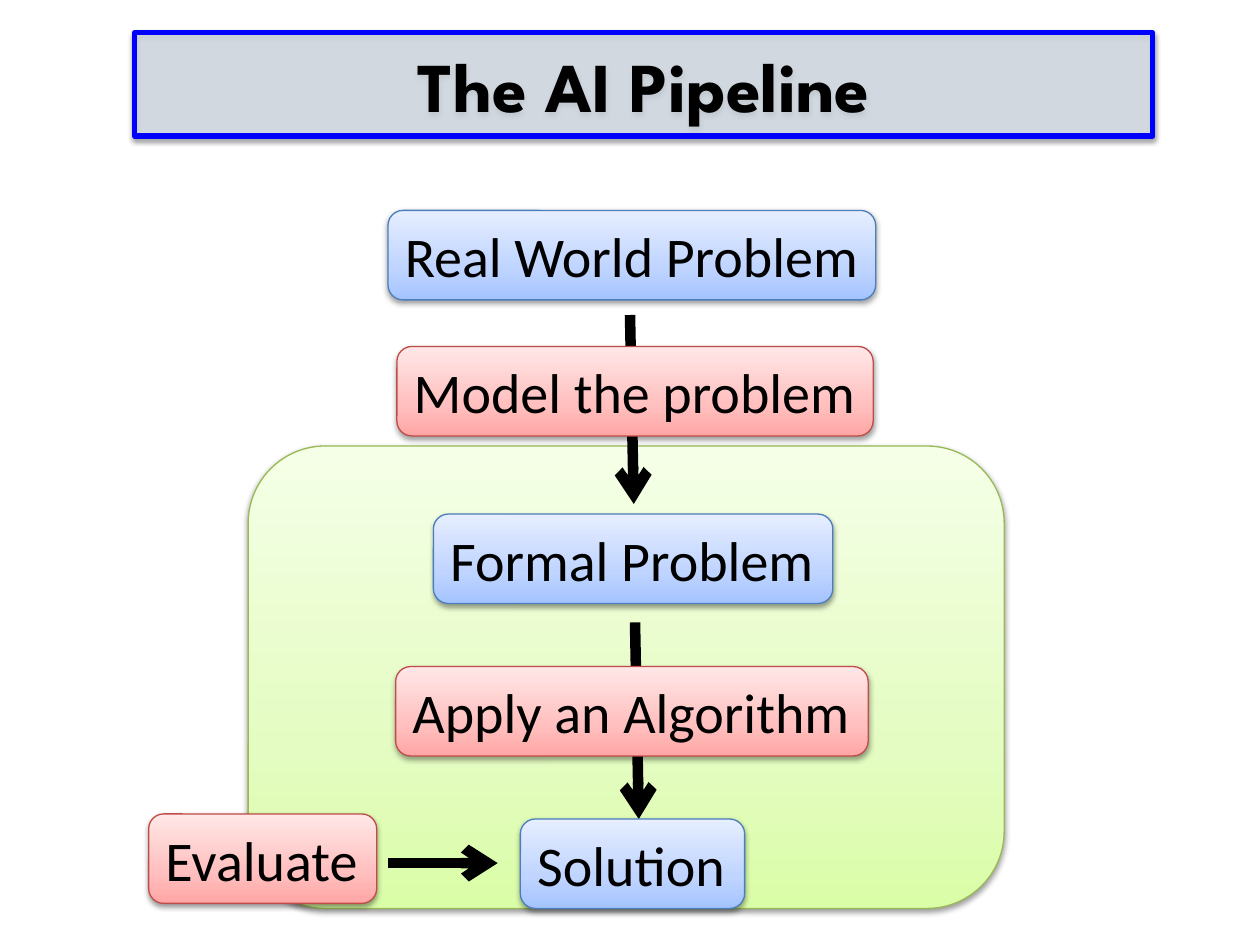
"""Builds the slide "The AI Pipeline": a flow chart from real problem to solution."""
from lxml import etree
from pptx import Presentation
from pptx.dml.color import RGBColor
from pptx.enum import shapes, text
from pptx.oxml import ns, parse_xml
from pptx.util import Inches, Pt

COLORS = {"black": "000000", "border": "0000FF", "title": "DCE6F2"}
PALETTES = {
    "green": {"line": "98B955", "stops": ("DAFDA7", "E4FCC2", "F5FFE7")},
    "blue": {"line": "4B7EBC", "stops": ("A4C4FF", "BFD4FF", "E6EEFF")},
    "red": {"line": "BF4C48", "stops": ("FFA6A5", "FFC0BF", "FFE7E7")},
}
STOP_POSITIONS = (0, 35000, 100000)
BOX_HEIGHT = 0.71


def add_shadow(shape):
    shape.shadow.inherit = False
    effects = shape._element.spPr.find(ns.qn("a:effectLst"))
    effects.append(parse_xml(
        f'<a:outerShdw {ns.nsdecls("a")} blurRad="40000" dist="20000" dir="5400000" '
        f'rotWithShape="0"><a:srgbClr val="{COLORS["black"]}"><a:alpha val="38000"/>'
        '</a:srgbClr></a:outerShdw>'))


def add_rounded_box(slide, palette, left, top, width, height):
    box = slide.shapes.add_shape(
        shapes.MSO_SHAPE.ROUNDED_RECTANGLE,
        Inches(left), Inches(top), Inches(width), Inches(height))
    box.line.color.rgb = RGBColor.from_string(palette["line"])
    box.line.width = Pt(0.75)
    stops = "".join(
        f'<a:gs pos="{position}"><a:srgbClr val="{color}"/></a:gs>'
        for position, color in zip(STOP_POSITIONS, palette["stops"]))
    gradient = parse_xml(
        f'<a:gradFill {ns.nsdecls("a")} rotWithShape="1"><a:gsLst>{stops}</a:gsLst>'
        '<a:lin ang="16200000" scaled="0"/></a:gradFill>')
    box.line._ln.addprevious(gradient)
    add_shadow(box)
    return box


deck = Presentation()
deck.slide_width, deck.slide_height = Inches(10), Inches(7.5)
slide = deck.slides.add_slide(deck.slide_layouts[5])

title = slide.shapes.title
title.left, title.top = Inches(1.07), Inches(0.26)
title.width, title.height = Inches(8.08), Inches(0.82)
title.fill.solid()
title.fill.fore_color.rgb = RGBColor.from_string(COLORS["title"])
fill_color = title._element.spPr.find(".//" + ns.qn("a:srgbClr"))
etree.SubElement(fill_color, ns.qn("a:alpha"), val="60000")
title.line.color.rgb = RGBColor.from_string(COLORS["border"])
title.line.width = Pt(3)
add_shadow(title)
frame = title.text_frame
frame.text = "The AI Pipeline"
frame.auto_size = text.MSO_AUTO_SIZE.NONE
frame.vertical_anchor = text.MSO_ANCHOR.MIDDLE
frame.paragraphs[0].alignment = text.PP_ALIGN.CENTER
span = frame.paragraphs[0].runs[0]
span.font.name, span.font.size, span.font.bold = "League Spartan", Pt(40), True
span.font.color.rgb = RGBColor.from_string(COLORS["black"])

add_rounded_box(slide, PALETTES["green"], 1.97, 3.54, 6, 3.67)

arrows = [
    (5.04, 4.94, 5.07, 6.5),
    (5, 2.5, 5.03, 4),
    (3.08, 6.85, 3.95, 6.85),
]
for ends in arrows:
    arrow = slide.shapes.add_connector(
        shapes.MSO_CONNECTOR.STRAIGHT, *(Inches(value) for value in ends))
    arrow.line.color.rgb = RGBColor.from_string(COLORS["black"])
    arrow.line.width = Pt(6)
    etree.SubElement(arrow.line._ln, ns.qn("a:tailEnd"), type="arrow")
    etree.SubElement(arrow._element.spPr, ns.qn("a:effectLst"))

steps = [
    ("Real World Problem", "blue", 3.08, 1.67, 3.87),
    ("Formal Problem", "blue", 3.44, 4.08, 3.17),
    ("Solution", "blue", 4.13, 6.5, 1.78),
    ("Model the problem", "red", 3.15, 2.75, 3.78),
    ("Apply an Algorithm", "red", 3.14, 5.29, 3.75),
    ("Evaluate", "red", 1.18, 6.46, 1.81),
]
for label, palette_name, left, top, width in steps:
    box = add_rounded_box(slide, PALETTES[palette_name], left, top, width, BOX_HEIGHT)
    frame = box.text_frame
    frame.text = label
    frame.word_wrap = False
    frame.auto_size = text.MSO_AUTO_SIZE.SHAPE_TO_FIT_TEXT
    frame.vertical_anchor = text.MSO_ANCHOR.MIDDLE
    frame.paragraphs[0].alignment = text.PP_ALIGN.LEFT
    span = frame.paragraphs[0].runs[0]
    span.font.name, span.font.size = "Calibri", Pt(32)
    span.font.color.rgb = RGBColor.from_string(COLORS["black"])

deck.save("out.pptx")
